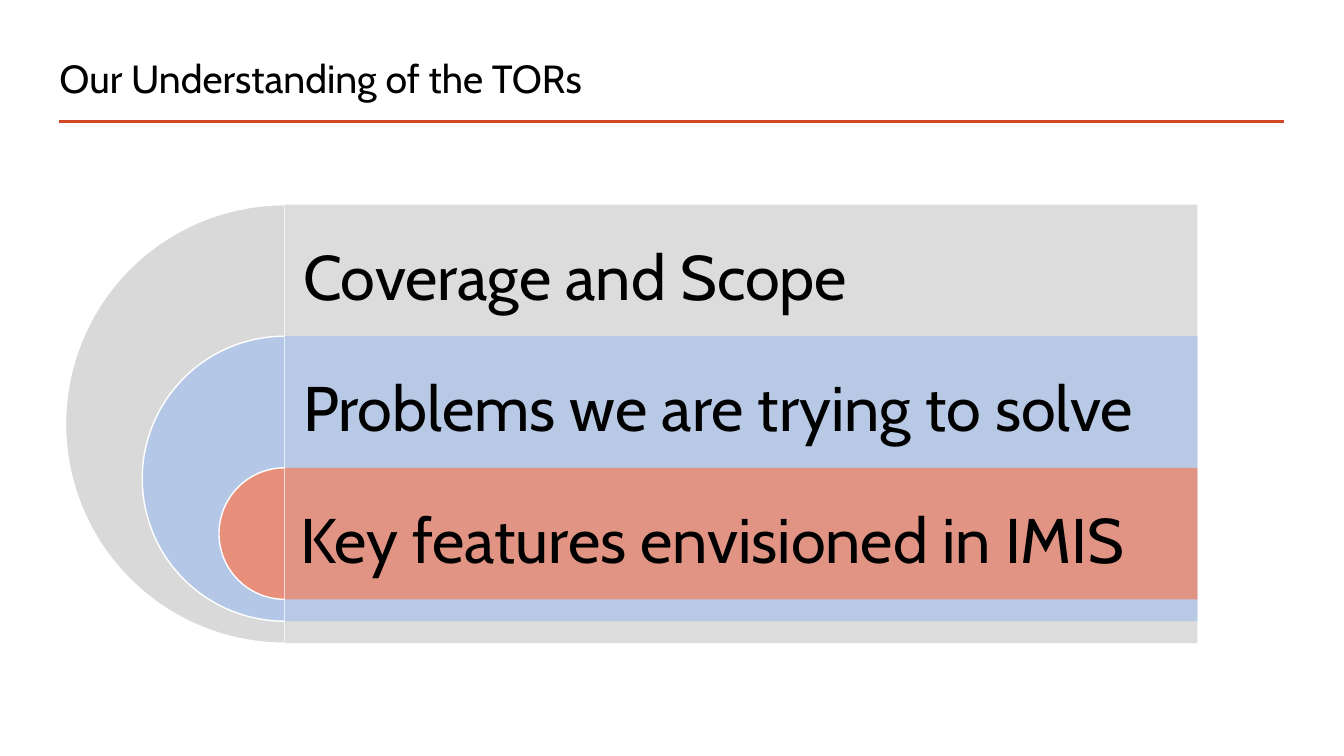
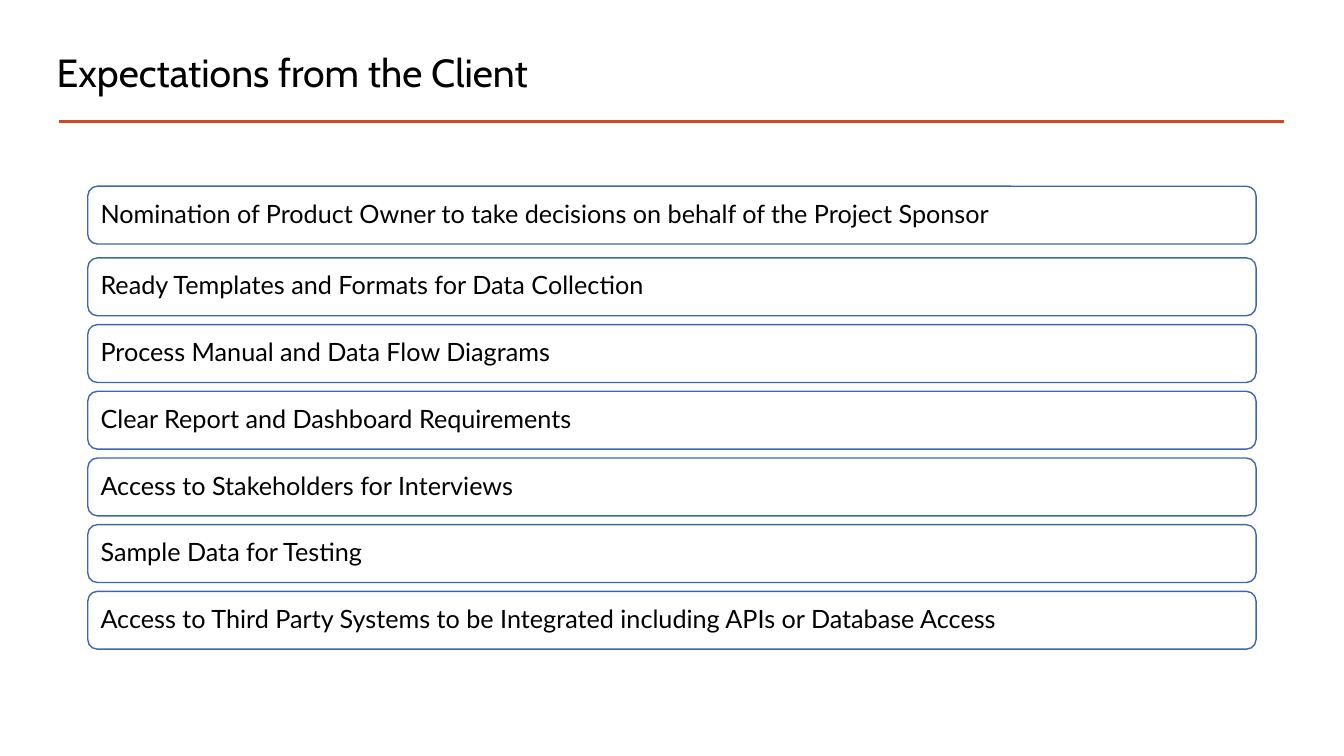
import dataclasses

import lxml.etree
import pptx
import pptx.dml.color
import pptx.enum.shapes
import pptx.enum.text
import pptx.oxml.ns
import pptx.util

Pt = pptx.util.Pt
RGB = pptx.dml.color.RGBColor.from_string
Shape = pptx.enum.shapes.MSO_SHAPE
Anchor = pptx.enum.text.MSO_ANCHOR
Fit = pptx.enum.text.MSO_AUTO_SIZE
Align = pptx.enum.text.PP_ALIGN
qn = pptx.oxml.ns.qn


@dataclasses.dataclass(frozen=True)
class Theme:
    ink: str = "000000"
    paper: str = "FFFFFF"
    rule: str = "D24726"
    edge: str = "3E67B2"
    bands: tuple = ("D9D9D9", "B4C7E7", "E78F7A")
    head: str = "Cabin"
    body: str = "Lato"
    title: float = 28
    label: float = 45
    item: float = 18


THEME = Theme()
FRAME = {"word_wrap": True, "auto_size": Fit.NONE, "vertical_anchor": Anchor.MIDDLE}
GROW = {**FRAME, "auto_size": Fit.SHAPE_TO_FIT_TEXT, "vertical_anchor": Anchor.TOP}
INSET = {f"margin_{side}": Pt(7.2) for side in ("left", "top", "right", "bottom")}
TIGHT = {"alignment": Align.LEFT, "line_spacing": 0.9}
LOOSE = {"alignment": Align.LEFT}


def apply(target, values):
    for name, value in values.items():
        setattr(target, name, value)


def write(shape, text, face, size, frame=FRAME, para=TIGHT):
    box = shape.text_frame
    box.text = text
    apply(box, frame)
    line = box.paragraphs[0]
    apply(line, para)
    font = line.runs[0].font
    apply(font, {"name": face, "size": Pt(size), "bold": False})
    font.color.rgb = RGB(THEME.ink)


def draw(slide, kind, box, fill, edge=None):
    shape = slide.shapes.add_shape(kind, *map(Pt, box))
    shape.shadow.inherit = False
    shape.fill.solid()
    shape.fill.fore_color.rgb = RGB(fill)
    if edge:
        shape.line.color.rgb = RGB(edge)
        shape.line.width = Pt(1)
    else:
        shape.line.fill.background()
    return shape


def fade(shape, share):
    """Set the opacity of a solid fill, in percent."""
    color = shape.element.spPr.find(".//" + qn("a:srgbClr"))
    lxml.etree.SubElement(color, qn("a:alpha"), val=str(share * 1000))


def add_rule(slide, layout):
    """Draw the red rule and move it to the layout that all slides share."""
    kind = pptx.enum.shapes.MSO_CONNECTOR.STRAIGHT
    rule = slide.shapes.add_connector(kind, Pt(42), Pt(87), Pt(917.3), Pt(87))
    rule.line.color.rgb = RGB(THEME.rule)
    rule.line.width = Pt(2)
    lxml.etree.SubElement(rule.element.spPr, qn("a:effectLst"))
    layout.shapes.element.append(rule.element)


def add_page(deck, layout, title, box):
    slide = deck.slides.add_slide(layout)
    head = slide.shapes.title
    apply(head, dict(zip(("left", "top", "width", "height"), map(Pt, box))))
    write(head, title, THEME.head, THEME.title)
    return slide


def add_arcs(slide, box, labels):
    """Nest half discs on one centre line, each with a labelled band."""
    left, top, width, height = box
    unit = height / 20
    mid = left + height / 2
    for i, (color, (text, shift, wide)) in enumerate(zip(THEME.bands, labels)):
        size = (20 - 7 * i) * unit
        y = top + 6 * i * unit
        disc = draw(slide, Shape.PIE, (mid - size / 2, y, size, size), color, THEME.paper)
        disc.adjustments[0], disc.adjustments[1] = 54, 162
        band = draw(slide, Shape.RECTANGLE, (mid, y, left + width - mid, size), color)
        fade(band, 90)
    for i, (text, shift, wide) in enumerate(labels):
        y = top + 6 * i * unit + 19.6
        label = slide.shapes.add_textbox(*map(Pt, (mid + shift, y, wide, 62)))
        write(label, text, THEME.head, THEME.label, GROW, LOOSE)


def add_items(slide, box, items):
    """Stack rounded boxes evenly, with a wider gap below the first."""
    left, top, width, height = box
    tall, extra = 41.3, 3.6
    step = (height - tall - extra) / (len(items) - 1)
    for i, text in enumerate(items):
        y = top + i * step + (extra if i else 0)
        item = draw(slide, Shape.ROUNDED_RECTANGLE, (left, y, width, tall),
                    THEME.paper, THEME.edge)
        write(item, text, THEME.body, THEME.item, {**FRAME, **INSET})


def main():
    deck = pptx.Presentation()
    apply(deck, {"slide_width": Pt(960), "slide_height": Pt(540)})
    layout = deck.slide_layouts[5]

    scope = add_page(deck, layout, "Our Understanding of the TORs",
                     (35.3, 32.4, 720, 50.4))
    add_rule(scope, layout)
    add_arcs(scope, (46.8, 146.2, 808.6, 313.2), (
        ("Coverage and Scope", 6, 615),
        ("Problems we are trying to solve", 6, 665),
        ("Key features envisioned in IMIS", 4, 665),
    ))

    needs = add_page(deck, layout, "Expectations from the Client",
                     (33.3, 28, 689, 50.4))
    add_items(needs, (62.7, 133, 834.5, 330.7), (
        "Nomination of Product Owner to take decisions on behalf of the Project Sponsor",
        "Ready Templates and Formats for Data Collection",
        "Process Manual and Data Flow Diagrams",
        "Clear Report and Dashboard Requirements",
        "Access to Stakeholders for Interviews",
        "Sample Data for Testing",
        "Access to Third Party Systems to be Integrated including APIs or Database Access",
    ))
    deck.save("out.pptx")


if __name__ == "__main__":
    main()
